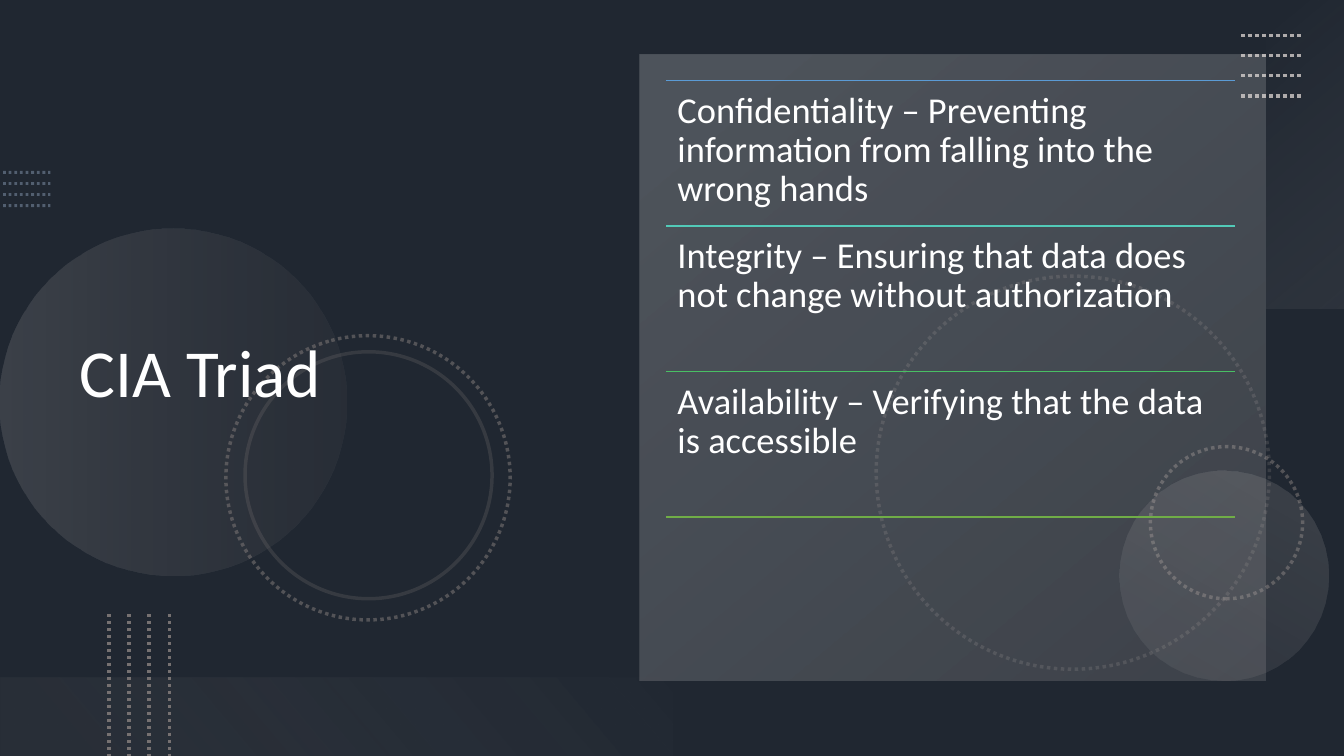
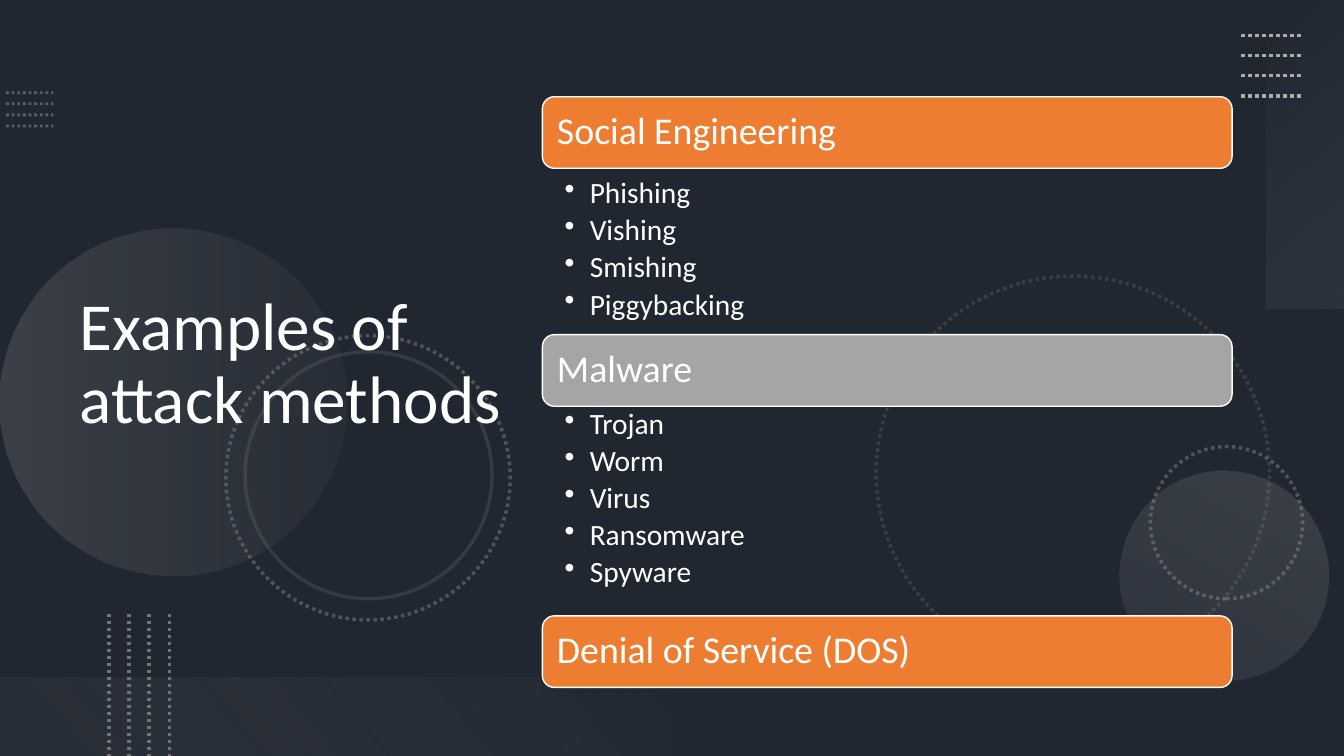
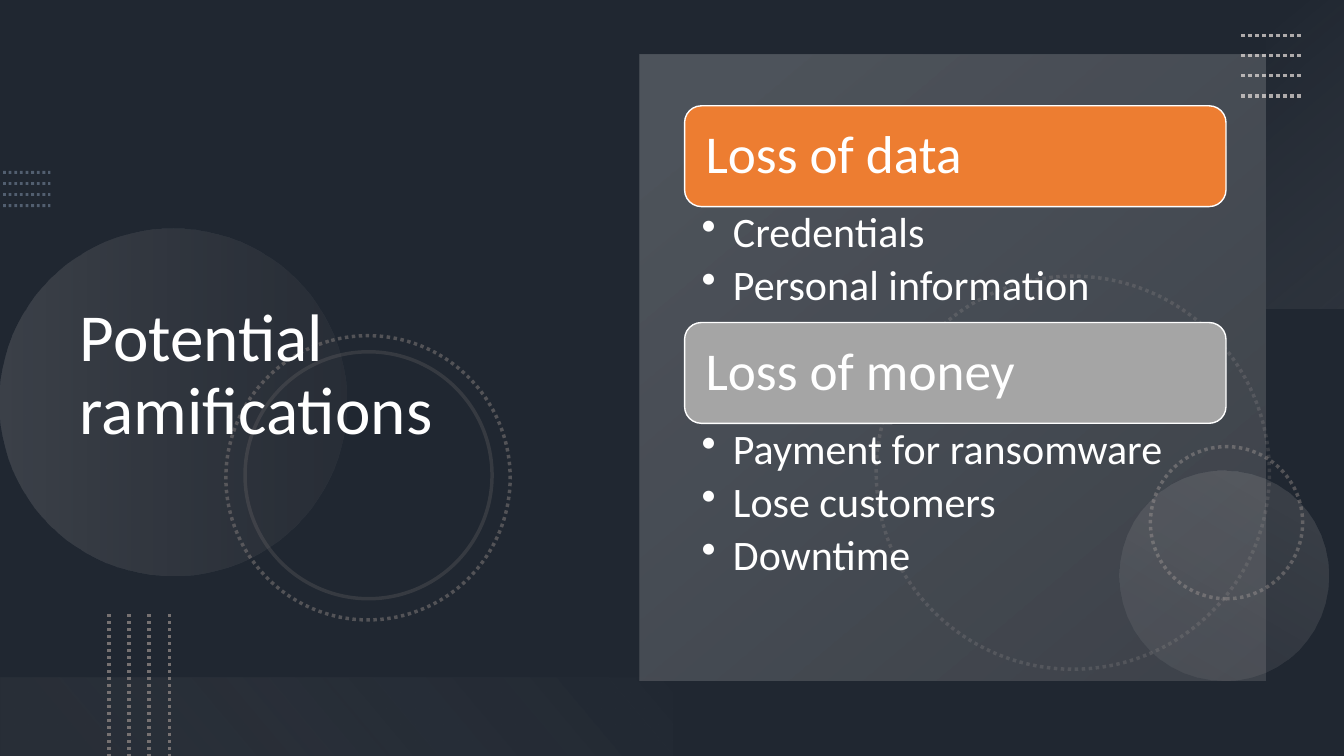
from pptx import Presentation
from pptx.dml.color import RGBColor
from pptx.enum.dml import MSO_LINE
from pptx.enum.shapes import MSO_CONNECTOR, MSO_SHAPE
from pptx.enum.text import MSO_ANCHOR, MSO_AUTO_SIZE, PP_ALIGN
from pptx.oxml.ns import qn
from pptx.oxml.xmlchemy import OxmlElement
from pptx.util import Inches, Pt

W, H = 13.33, 7.5
FONT = "Calibri"
BACK, BLACK, WHITE = "44546A", "000000", "FFFFFF"
GREY, SILVER, STEEL = "767171", "AFABAB", "8497B0"
ORANGE, ASH = "ED7D31", "A5A5A5"
RULES = ["5B9BD5", "52CAB8", "49BF64", "70AD47"]

RECT, ROUND_RECT, ELLIPSE = MSO_SHAPE.RECTANGLE, MSO_SHAPE.ROUNDED_RECTANGLE, MSO_SHAPE.OVAL
STRAIGHT = MSO_CONNECTOR.STRAIGHT
DOTS = MSO_LINE.ROUND_DOT
TOP, MIDDLE = MSO_ANCHOR.TOP, MSO_ANCHOR.MIDDLE
LEFT = PP_ALIGN.LEFT
NO_FIT = MSO_AUTO_SIZE.NONE


# Shared helpers
def rgb(code):
    return RGBColor.from_string(code)


def set_alpha(sp, *shares):
    """Give the colours of a shape, in order, their opacity in percent."""
    for clr, share in zip(sp._element.iter(qn("a:srgbClr")), shares):
        alpha = OxmlElement("a:alpha")
        alpha.set("val", str(share * 1000))
        clr.append(alpha)


def add_shape(slide, kind, box, fill=None, line=None, width=1, rot=0):
    sp = slide.shapes.add_shape(kind, *map(Inches, box))
    sp.shadow.inherit = False
    sp.rotation = rot
    if fill:
        sp.fill.solid()
        sp.fill.fore_color.rgb = rgb(fill)
    else:
        sp.fill.background()
    if line:
        sp.line.color.rgb = rgb(line)
        sp.line.width = Pt(width)
    else:
        sp.line.fill.background()
    return sp


def add_gradient(slide, kind, box, rot, stops, angle):
    """Stops are (position, colour, opacity); the angle runs clockwise."""
    sp = add_shape(slide, kind, box, rot=rot)
    sp.fill.gradient()
    sp.fill.gradient_angle = 360 - angle
    for stop, (pos, color, _) in zip(sp.fill.gradient_stops, stops):
        stop.position = pos
        stop.color.rgb = rgb(color)
    set_alpha(sp, *(share for _, _, share in stops))


def add_line(slide, x1, y1, x2, y2, color, width=1, dash=None, alpha=100):
    line = slide.shapes.add_connector(STRAIGHT, *map(Inches, (x1, y1, x2, y2)))
    line.line.color.rgb = rgb(color)
    line.line.width = Pt(width)
    if dash:
        line.line.dash_style = dash
    if alpha < 100:
        set_alpha(line, alpha)
    line._element.spPr.append(OxmlElement("a:effectLst"))


def add_ring(slide, box, rot, alpha, dash=DOTS):
    sp = add_shape(slide, ELLIPSE, box, line=GREY, width=2.5, rot=rot)
    if dash:
        sp.line.dash_style = dash
    set_alpha(sp, alpha)


def set_text(sp, lines, size, inset, anchor=TOP):
    """Inset is left, top, right, bottom."""
    tf = sp.text_frame
    tf.word_wrap = True
    tf.auto_size = NO_FIT
    tf.vertical_anchor = anchor
    tf.margin_left, tf.margin_top, tf.margin_right, tf.margin_bottom = map(Inches, inset)
    tf.text = "\n".join(lines)
    for p in tf.paragraphs:
        p.alignment = LEFT
        p.line_spacing = 0.9
        for r in p.runs:
            r.font.name = FONT
            r.font.size = Pt(size)
            r.font.color.rgb = rgb(WHITE)
    return tf


def add_bullets(slide, box, lines, size, inset, hang):
    sp = slide.shapes.add_textbox(*map(Inches, box))
    for p in set_text(sp, lines, size, inset).paragraphs:
        p.level = 1
        p.space_after = Pt(round(size * 0.18, 1))
        pPr = p._p.get_or_add_pPr()
        pPr.set("marL", str(Inches(hang)))
        pPr.set("indent", str(-Inches(hang)))
        bullet = OxmlElement("a:buChar")
        bullet.set("char", "•")
        pPr.append(bullet)


# Backdrop of every slide
def add_dotted_rows(slide, box, color, width, alpha=100):
    x, y, w, h = box
    for i in range(4):
        row = y + i * h / 3
        add_line(slide, x, row, x + w, row, color, width, DOTS, alpha)


def add_dotted_columns(slide, box):
    x, y, w, h = box
    for i in range(4):
        col = x + i * w / 3
        add_line(slide, col, y, col, y + h, GREY, 2.5, DOTS)


def add_backdrop(slide, small_dots):
    set_alpha(add_shape(slide, RECT, (0, 0, W, H), BLACK), 53)
    # Circles
    add_ring(slide, (8.69, 2.74, 3.9, 3.9), 75, 30)
    add_ring(slide, (11.41, 4.43, 1.51, 1.51), 270, 60)
    add_gradient(slide, ELLIPSE, (0, 2.27, 3.44, 3.44), 270,
                 [(0, SILVER, 20), (1, GREY, 10)], 90)
    add_gradient(slide, ELLIPSE, (11.1, 4.67, 2.08, 2.08), 210,
                 [(0, SILVER, 10), (1, SILVER, 20)], 90)
    add_ring(slide, (2.24, 3.33, 2.82, 2.82), 75, 60)
    add_ring(slide, (2.43, 3.49, 2.45, 2.45), 75, 25, None)
    # Corner bands and dots
    add_gradient(slide, RECT, (11.42, 1.14, 3.06, 0.78), 270,
                 [(0, "F5F5F5", 0), (1, SILVER, 10)], 140)
    add_dotted_rows(slide, (12.31, 0.35, 0.6, 0.6), SILVER, 2.5)
    add_dotted_rows(slide, (*small_dots, 0.47, 0.33), STEEL, 2, 50)
    add_gradient(slide, RECT, (0, 6.72, W / 2, 0.78), 180,
                 [(0.1, GREY, 10), (1, "F1F0F0", 0)], 140)
    add_dotted_columns(slide, (1.08, 6.09, 0.6, 1.41))


def new_slide(prs, title, box=(0.69, 0.69, 5.28, 6.08), small_dots=(0.03, 1.71), panel=True):
    slide = prs.slides.add_slide(prs.slide_layouts[5])
    add_backdrop(slide, small_dots)
    sp = slide.shapes.title
    sp.left, sp.top, sp.width, sp.height = map(Inches, box)
    set_text(sp, [title], 48, (0.1, 0.05, 0.1, 0.05), MIDDLE)
    slide.shapes._spTree.append(sp._element)  # bring the title above the backdrop
    if panel:
        add_gradient(slide, RECT, (6.34, 0.54, 6.21, 6.21), 270,
                     [(0.1, WHITE, 20), (1, SILVER, 20)], 140)
    return slide


# Content regions
def add_ruled_list(slide, box, items):
    """Equal rows of text with a coloured rule above each and one below."""
    x, y, w, h = box
    row = h / len(items)
    for i, color in enumerate(RULES):
        add_line(slide, x, y + i * row, x + w, y + i * row, color)
    for i, item in enumerate(items):
        sp = slide.shapes.add_textbox(*map(Inches, (x, y + i * row, w, row)))
        set_text(sp, [item], 26, (0.11,) * 4)


def add_section(slide, box, color, head, size, pad):
    sp = add_shape(slide, ROUND_RECT, box, color, WHITE)
    set_text(sp, [head], size, (pad,) * 4, MIDDLE)


def main():
    prs = Presentation()
    prs.slide_width, prs.slide_height = Inches(W), Inches(H)
    back = prs.slide_master.background.fill
    back.solid()
    back.fore_color.rgb = rgb(BACK)

    # CIA triad
    slide = new_slide(prs, "CIA Triad")
    add_ruled_list(slide, (6.61, 0.8, 5.64, 4.33), [
        "Confidentiality – Preventing information from falling into the wrong hands",
        "Integrity – Ensuring that data does not change without authorization",
        "Availability – Verifying that the data is accessible",
    ])

    # Attack methods: heading top, colour, heading, list top, list height, list
    slide = new_slide(prs, "Examples of attack methods", (0.69, 0.54, 4.59, 6.17),
                      (0.06, 0.92), panel=False)
    x, w = 5.38, 6.84
    for y, color, head, list_y, list_h, items in [
        (0.96, ORANGE, "Social Engineering", 1.73, 1.59,
         ["Phishing", "Vishing", "Smishing", "Piggybacking"]),
        (3.32, ASH, "Malware", 4.02, 2.38,
         ["Trojan", "Worm", "Virus", "Ransomware", "Spyware"]),
        (6.11, ORANGE, "Denial of Service (DOS)", 0, 0, []),
    ]:
        add_section(slide, (x, y, w, 0.71), color, head, 27, 0.11)
        if items:
            add_bullets(slide, (x, list_y, w, list_h), items, 21, (0.22, 0.04, 0.21, 0.04), 0.25)

    # Ramifications: heading top, colour, heading, list height, list
    slide = new_slide(prs, "Potential ramifications")
    x, w, head_h = 6.79, 5.37, 1
    for y, color, head, list_h, items in [
        (1.05, ORANGE, "Loss of data", 1.14, ["Credentials", "Personal information"]),
        (3.2, ASH, "Loss of money", 1.72,
         ["Payment for ransomware", "Lose customers", "Downtime"]),
    ]:
        add_section(slide, (x, y, w, head_h), color, head, 38, 0.16)
        add_bullets(slide, (x, y + head_h, w, list_h), items, 30, (0.17, 0.05, 0.3, 0.05), 0.31)

    prs.save("out.pptx")


if __name__ == "__main__":
    main()
